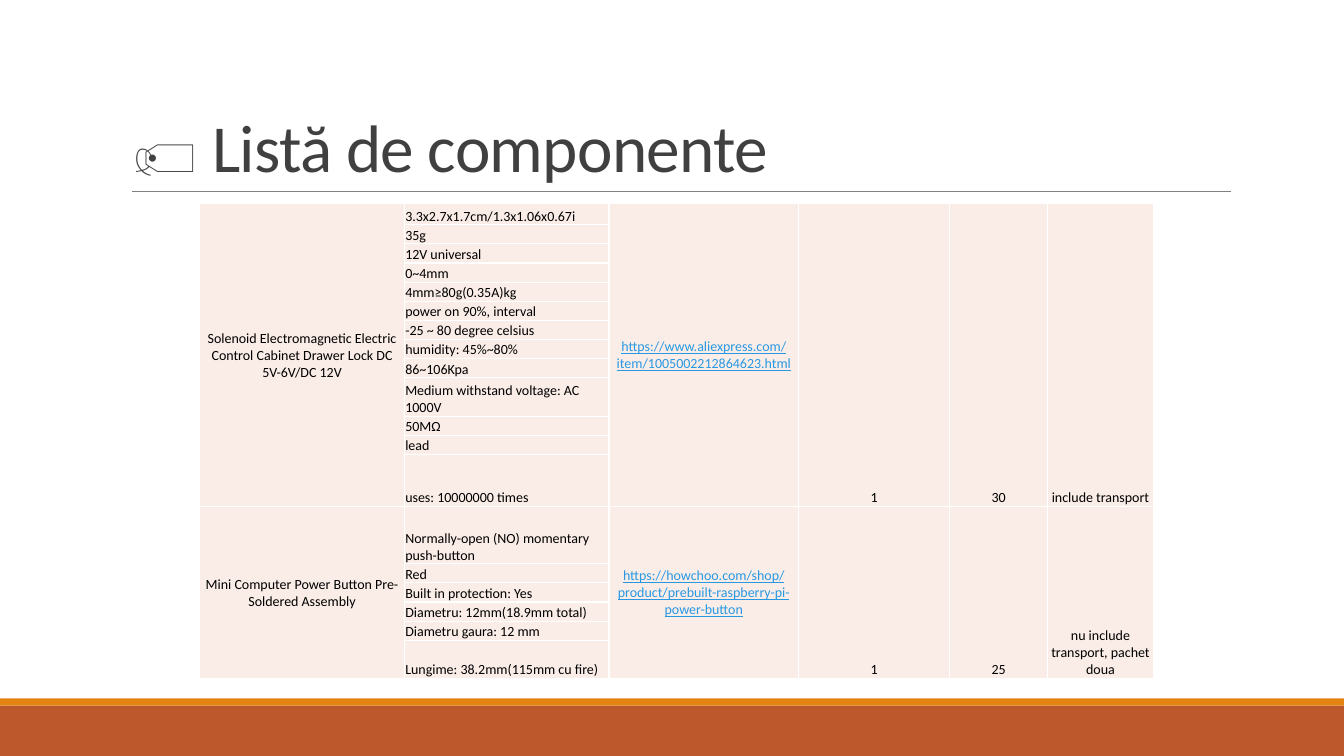
"""Build the component list slide."""
from dataclasses import dataclass

from lxml.etree import SubElement
from pptx import Presentation
from pptx.dml.color import RGBColor
from pptx.enum.shapes import MSO_CONNECTOR, MSO_SHAPE
from pptx.enum.text import MSO_ANCHOR, MSO_AUTO_SIZE, PP_ALIGN
from pptx.oxml.ns import qn
from pptx.util import Inches, Pt

FONT = "Calibri"
INK = "000000"
LINK = "2998E3"
CELL_FILL = "FAEDE7"
COLUMN_WIDTHS = [2.03, 2.03, 1.88, 1.5, 0.97, 1.05]
LINE_HEIGHT = 0.19
ROW_HEIGHTS = {0: 0.21, 9: 2 * LINE_HEIGHT, 13: 3 * LINE_HEIGHT, 18: 2 * LINE_HEIGHT}


@dataclass
class Bar:
    top: float
    height: float
    color: str


@dataclass
class Component:
    name: str
    details: list[str]
    address: str
    quantity: str
    price: str
    remark: str


BARS = [Bar(7, 0.5, "BD582C"), Bar(6.93, 0.07, "E48312")]

COMPONENTS = [
    Component(
        "Solenoid Electromagnetic Electric Control Cabinet Drawer Lock DC 5V-6V/DC 12V",
        [
            "3.3x2.7x1.7cm/1.3x1.06x0.67i", "35g", "12V universal", "0~4mm",
            "4mm≥80g(0.35A)kg", "power on 90%, interval", "-25 ~ 80 degree celsius",
            "humidity: 45%~80%", "86~106Kpa", "Medium withstand voltage: AC 1000V",
            "50MΩ", "lead", "uses: 10000000 times",
        ],
        "https://www.aliexpress.com/item/1005002212864623.html",
        "1", "30", "include transport",
    ),
    Component(
        "Mini Computer Power Button Pre-Soldered Assembly",
        [
            "Normally-open (NO) momentary push-button", "Red", "Built in protection: Yes",
            "Diametru: 12mm(18.9mm total)", "Diametru gaura: 12 mm",
            "Lungime: 38.2mm(115mm cu fire)",
        ],
        "https://howchoo.com/shop/product/prebuilt-raspberry-pi-power-button",
        "1", "25", "nu include transport, pachet doua",
    ),
]


def rgb(color: str) -> RGBColor:
    """Turn a hex string into a colour."""
    return RGBColor.from_string(color)


def add_bar(page, bar: Bar) -> None:
    """Draw a band across the full width of the slide."""
    shape = page.shapes.add_shape(
        MSO_SHAPE.RECTANGLE, 0, Inches(bar.top), Inches(13.33), Inches(bar.height))
    shape.shadow.inherit = False
    shape.fill.solid()
    shape.fill.fore_color.rgb = rgb(bar.color)
    shape.line.fill.background()


def add_rule(page) -> None:
    """Draw the thin line below the title."""
    rule = page.shapes.add_connector(
        MSO_CONNECTOR.STRAIGHT, Inches(1.31), Inches(1.9), Inches(12.21), Inches(1.9))
    rule.line.color.rgb = rgb("808080")
    rule.line.width = Pt(0.5)
    SubElement(rule._element.spPr, qn("a:effectLst"))


def write_title(page, text: str) -> None:
    """Place and format the slide title."""
    title = page.shapes.title
    title.left, title.top = Inches(1.2), Inches(0.31)
    title.width, title.height = Inches(11), Inches(1.59)
    frame = title.text_frame
    frame.word_wrap = True
    frame.auto_size = MSO_AUTO_SIZE.NONE
    frame.vertical_anchor = MSO_ANCHOR.BOTTOM
    para = frame.paragraphs[0]
    para.alignment = PP_ALIGN.LEFT
    para.line_spacing = 0.85
    para.font.name, para.font.size = FONT, Pt(48)
    para.font.color.rgb = rgb("404040")
    span = para.add_run()
    span.text = text
    span._r.get_or_add_rPr().set("spc", "-50")


def format_cell(cell) -> None:
    """Give a cell its borders, fill, margins and base font."""
    properties = cell._tc.get_or_add_tcPr()
    for side in ("a:lnL", "a:lnR", "a:lnT", "a:lnB"):
        border = SubElement(properties, qn(side), w=str(Pt(1)))
        fill = SubElement(border, qn("a:solidFill"))
        SubElement(fill, qn("a:srgbClr"), val="FFFFFF")
    cell.fill.solid()
    cell.fill.fore_color.rgb = rgb(CELL_FILL)
    cell.margin_left = cell.margin_right = cell.margin_top = Inches(0.01)
    cell.margin_bottom = 0
    font = cell.text_frame.paragraphs[0].font
    font.name, font.size = FONT, Pt(10)
    font.color.rgb = rgb(INK)


def write_cell(cell, text: str, alignment=PP_ALIGN.CENTER, anchor=MSO_ANCHOR.BOTTOM) -> None:
    """Write aligned text into a formatted cell."""
    cell.vertical_anchor = anchor
    para = cell.text_frame.paragraphs[0]
    para.alignment = alignment
    para.add_run().text = text


def write_component(table, first_row: int, component: Component) -> None:
    """Fill the block of rows of one component."""
    last_row = first_row + len(component.details) - 1
    shared = {
        0: (component.name, MSO_ANCHOR.MIDDLE),
        2: (component.address, MSO_ANCHOR.MIDDLE),
        3: (component.quantity, MSO_ANCHOR.BOTTOM),
        4: (component.price, MSO_ANCHOR.BOTTOM),
        5: (component.remark, MSO_ANCHOR.BOTTOM),
    }
    for column, (text, anchor) in shared.items():
        cell = table.cell(first_row, column)
        cell.merge(table.cell(last_row, column))
        write_cell(cell, text, anchor=anchor)
    link_font = table.cell(first_row, 2).text_frame.paragraphs[0].font
    link_font.color.rgb = rgb(LINK)
    link_font.underline = True
    for row, detail in enumerate(component.details, first_row):
        write_cell(table.cell(row, 1), detail, PP_ALIGN.LEFT)


def add_component_table(page) -> None:
    """Add the table of all components."""
    row_count = sum(len(component.details) for component in COMPONENTS)
    table = page.shapes.add_table(
        row_count, len(COLUMN_WIDTHS),
        Inches(1.98), Inches(2.02), Inches(9.45), Inches(4.4)).table
    table.first_row = table.horz_banding = False
    for column, width in zip(table.columns, COLUMN_WIDTHS):
        column.width = Inches(width)
    for index, row in enumerate(table.rows):
        row.height = Inches(ROW_HEIGHTS.get(index, LINE_HEIGHT))
    for cell in table.iter_cells():
        format_cell(cell)
    first_row = 0
    for component in COMPONENTS:
        write_component(table, first_row, component)
        first_row += len(component.details)


def main() -> None:
    """Build and save the deck."""
    deck = Presentation()
    deck.slide_width, deck.slide_height = Inches(13.33), Inches(7.5)
    page = deck.slides.add_slide(deck.slide_layouts[5])
    for bar in BARS:
        add_bar(page, bar)
    add_rule(page)
    write_title(page, "🏷 Listă de componente")
    add_component_table(page)
    deck.save("out.pptx")


if __name__ == "__main__":
    main()
